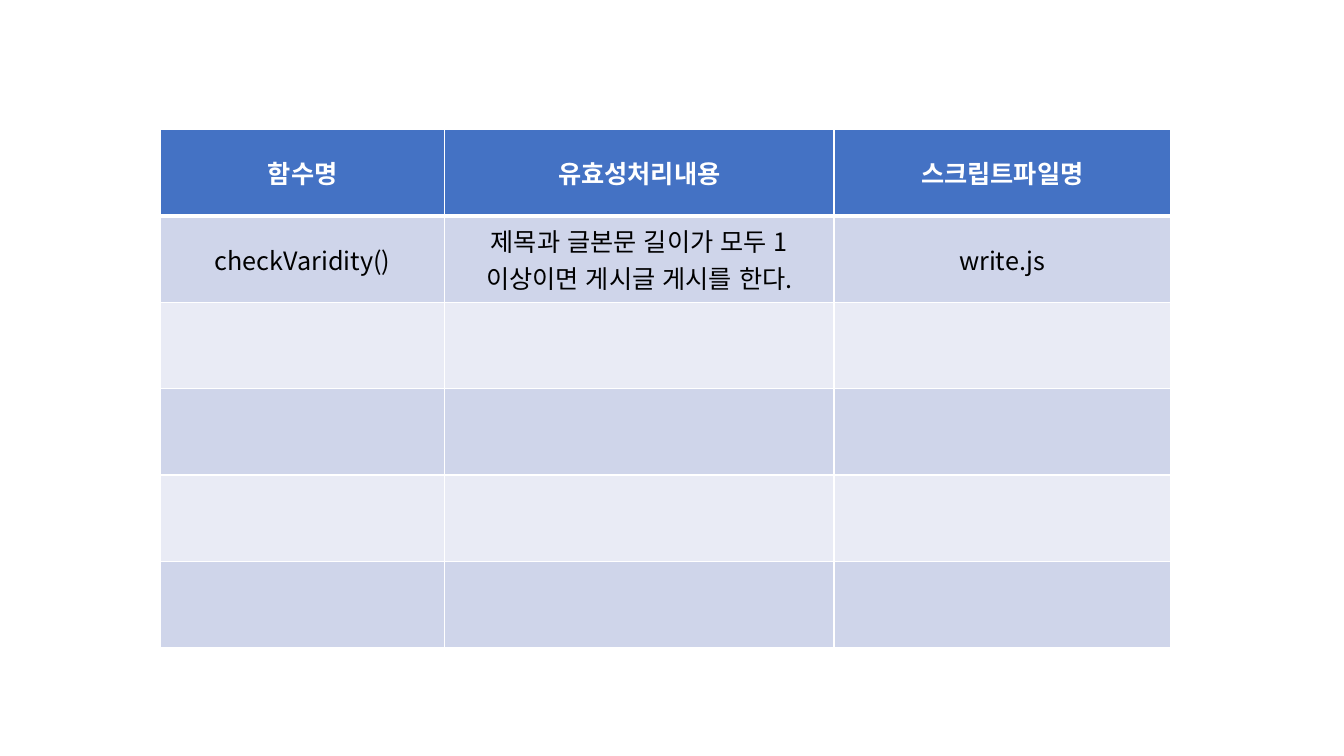
from pptx import Presentation
from pptx.dml.color import RGBColor as Rgb
from pptx.enum.lang import MSO_LANGUAGE_ID as Lang
from pptx.enum.text import MSO_ANCHOR as Anchor, PP_ALIGN as Align
from pptx.oxml.ns import qn
from pptx.util import Pt
from lxml.etree import SubElement as Sub

FONT = "Noto Sans CJK KR"
HUES = {"head": "4472C4", "odd": "CFD5EA", "even": "E9EBF5",
        "white": "FFFFFF", "black": "000000"}
WIDTHS = [203, 278, 240.5]
HEIGHT = 61.7
COUNT = 6
ROWS = [
    ["함수명", "유효성처리내용", "스크립트파일명"],
    ["checkVaridity()", "제목과 글본문 길이가 모두 1이상이면 게시글 게시를 한다.",
     "write.js"],
]


def put_text(cell, text, size=18, hue="black", bold=False):
    """Write centred text into a cell in the given format."""
    cell.vertical_anchor = Anchor.MIDDLE
    par = cell.text_frame.paragraphs[0]
    par.alignment = Align.CENTER
    run = par.add_run()
    run.text = text
    font = run.font
    font.size, font.bold, font.name = Pt(size), bold, FONT
    font.language_id = Lang.KOREAN
    font.color.rgb = Rgb.from_string(HUES[hue])
    Sub(font._element, qn("a:ea"), typeface=FONT)


def add_edges(cell, top=1, base=1):
    """Draw white borders around a cell, with widths in points."""
    props = cell._tc.get_or_add_tcPr()
    for side, width in {"L": 1, "R": 1, "T": top, "B": base}.items():
        line = Sub(props, qn(f"a:ln{side}"), w=str(Pt(width)))
        fill = Sub(line, qn("a:solidFill"))
        Sub(fill, qn("a:srgbClr"), val=HUES["white"])


def paint(cell, hue):
    """Fill a cell with a named colour."""
    cell.fill.solid()
    cell.fill.fore_color.rgb = Rgb.from_string(HUES[hue])


def add_grid(slide, left, top):
    """Add the table of functions, with a header and banded rows."""
    frame = slide.shapes.add_table(
        COUNT, len(WIDTHS), Pt(left), Pt(top),
        Pt(sum(WIDTHS)), Pt(HEIGHT * COUNT))
    table = frame.table
    for col, width in zip(table.columns, WIDTHS):
        col.width = Pt(width)
    for num, row in enumerate(table.rows):
        row.height = Pt(HEIGHT)
        head = num == 0
        band = "head" if head else "odd" if num % 2 else "even"
        for cell in row.cells:
            add_edges(cell, top=3 if num == 1 else 1, base=3 if head else 1)
            paint(cell, band)
    for num, texts in enumerate(ROWS):
        head = num == 0
        for cell, text in zip(table.rows[num].cells, texts):
            put_text(cell, text, hue="white" if head else "black", bold=head)


def main():
    """Build the slide and save it."""
    deck = Presentation()
    deck.slide_width, deck.slide_height = Pt(960), Pt(540)
    slide = deck.slides.add_slide(deck.slide_layouts[6])
    add_grid(slide, 114.7, 92.5)
    deck.save("out.pptx")


main()
